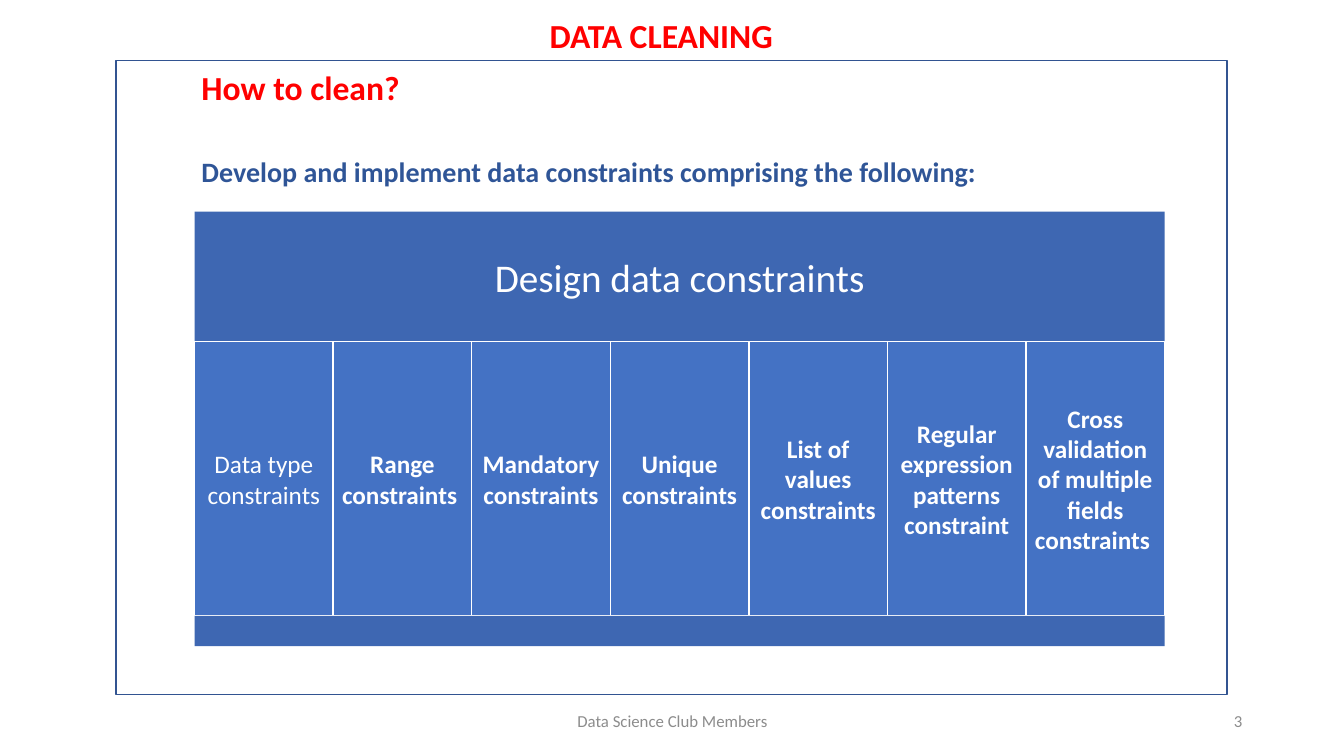
import dataclasses
import typing

import pptx
import pptx.dml.color
import pptx.enum.shapes
import pptx.enum.text
import pptx.util

COLORS = {
    "heading": "FF0000",
    "lead": "2F5597",
    "frame": "325491",
    "band": "3E67B2",
    "cell": "4472C4",
    "white": "FFFFFF",
    "footer": "8C8C8C",
}
ALIGN = pptx.enum.text.PP_ALIGN
ANCHOR = pptx.enum.text.MSO_ANCHOR
MARGINS = ("margin_left", "margin_right", "margin_top", "margin_bottom")

deck = pptx.Presentation()
deck.slide_width = pptx.util.Inches(13.33)
deck.slide_height = pptx.util.Inches(7.5)
slide = deck.slides.add_slide(deck.slide_layouts[6])


@dataclasses.dataclass(frozen=True)
class Area:
    """Left, top, width and height in percent of the slide."""

    left: float
    top: float
    width: float
    height: float

    def emu(self) -> tuple[int, int, int, int]:
        across, down = deck.slide_width / 100, deck.slide_height / 100
        return (
            round(self.left * across),
            round(self.top * down),
            round(self.width * across),
            round(self.height * down),
        )


@dataclasses.dataclass(frozen=True)
class Line:
    text: str
    size: float
    color: str
    bold: bool = False
    layout: dict[str, typing.Any] = dataclasses.field(default_factory=dict)


@dataclasses.dataclass(frozen=True)
class Box:
    area: Area
    fill: str | None = None
    outline: str | None = None


def rgb(name: str) -> pptx.dml.color.RGBColor:
    return pptx.dml.color.RGBColor.from_string(COLORS[name])


def apply(target: typing.Any, values: dict[str, typing.Any]) -> None:
    for attribute, value in values.items():
        setattr(target, attribute, value)


def write(frame: typing.Any, lines: list[Line], settings: dict[str, typing.Any]) -> None:
    apply(frame, {"word_wrap": True, **settings})
    for index, line in enumerate(lines):
        paragraph = frame.add_paragraph() if index else frame.paragraphs[0]
        apply(paragraph, {"alignment": ALIGN.CENTER, **line.layout})
        run = paragraph.add_run()
        run.text = line.text
        apply(run.font, {"name": "Calibri", "size": pptx.util.Pt(line.size), "bold": line.bold})
        run.font.color.rgb = rgb(line.color)


def draw_text(area: Area, lines: list[Line], anchor: typing.Any) -> None:
    write(slide.shapes.add_textbox(*area.emu()).text_frame, lines, {"vertical_anchor": anchor})


def draw_box(box: Box, lines: list[Line], margin: float = 0.1) -> None:
    rectangle = slide.shapes.add_shape(pptx.enum.shapes.MSO_SHAPE.RECTANGLE, *box.area.emu())
    rectangle.shadow.inherit = False
    if box.fill:
        rectangle.fill.solid()
        rectangle.fill.fore_color.rgb = rgb(box.fill)
    else:
        rectangle.fill.background()
    if box.outline:
        rectangle.line.color.rgb = rgb(box.outline)
        rectangle.line.width = pptx.util.Pt(1)
    else:
        rectangle.line.fill.background()
    insets = dict.fromkeys(MARGINS, pptx.util.Inches(margin))
    write(rectangle.text_frame, lines, {"vertical_anchor": ANCHOR.MIDDLE, **insets})


DIAGRAM_LEFT, DIAGRAM_WIDTH = 14.48, 72.17
HEADER_TOP, CELLS_TOP, BASE_TOP, BASE_BOTTOM = 28, 45.2, 81.47, 85.47
CONSTRAINTS = [
    "Data type constraints",
    "Range constraints ",
    "Mandatory constraints",
    "Unique constraints",
    "List of values constraints",
    "Regular expression patterns constraint",
    "Cross validation of multiple fields constraints ",
]


def diagram_row(top: float, bottom: float) -> Area:
    return Area(DIAGRAM_LEFT, top, DIAGRAM_WIDTH, bottom - top)


def draw_diagram() -> None:
    header = Box(diagram_row(HEADER_TOP, CELLS_TOP), "band")
    draw_box(header, [Line("Design data constraints", 28, "white")], 0.12)
    column = DIAGRAM_WIDTH / len(CONSTRAINTS)
    for index, constraint in enumerate(CONSTRAINTS):
        area = Area(DIAGRAM_LEFT + index * column, CELLS_TOP, column, BASE_TOP - CELLS_TOP)
        label = Line(constraint, 18, "white", bold=index > 0)
        draw_box(Box(area, "cell", "white"), [label], 0.07)
    draw_box(Box(diagram_row(BASE_TOP, BASE_BOTTOM), "band"), [])


def main() -> None:
    title = Line("DATA CLEANING", 24, "heading", True, {"line_spacing": 0.9})
    draw_text(Area(11.7, 1.47, 75, 6.53), [title], ANCHOR.BOTTOM)
    question = Line("How to clean?", 24, "heading", True, {"alignment": ALIGN.LEFT})
    lead = Line(
        "Develop and implement data constraints comprising the following:",
        20,
        "lead",
        True,
        {"alignment": ALIGN.LEFT, "space_before": pptx.util.Pt(34)},
    )
    draw_text(Area(14.25, 8.13, 72.47, 22), [question, lead], ANCHOR.TOP)
    draw_box(Box(Area(8.63, 8, 82.67, 83.87), outline="frame"), [])
    draw_diagram()
    members = Line("Data Science Club Members", 12, "footer")
    draw_text(Area(33.16, 92.67, 33.76, 5.33), [members], ANCHOR.MIDDLE)
    page = Line("3", 12, "footer", layout={"alignment": ALIGN.RIGHT})
    draw_text(Area(70.67, 92.67, 22.5, 5.33), [page], ANCHOR.MIDDLE)
    deck.save("out.pptx")


if __name__ == "__main__":
    main()
